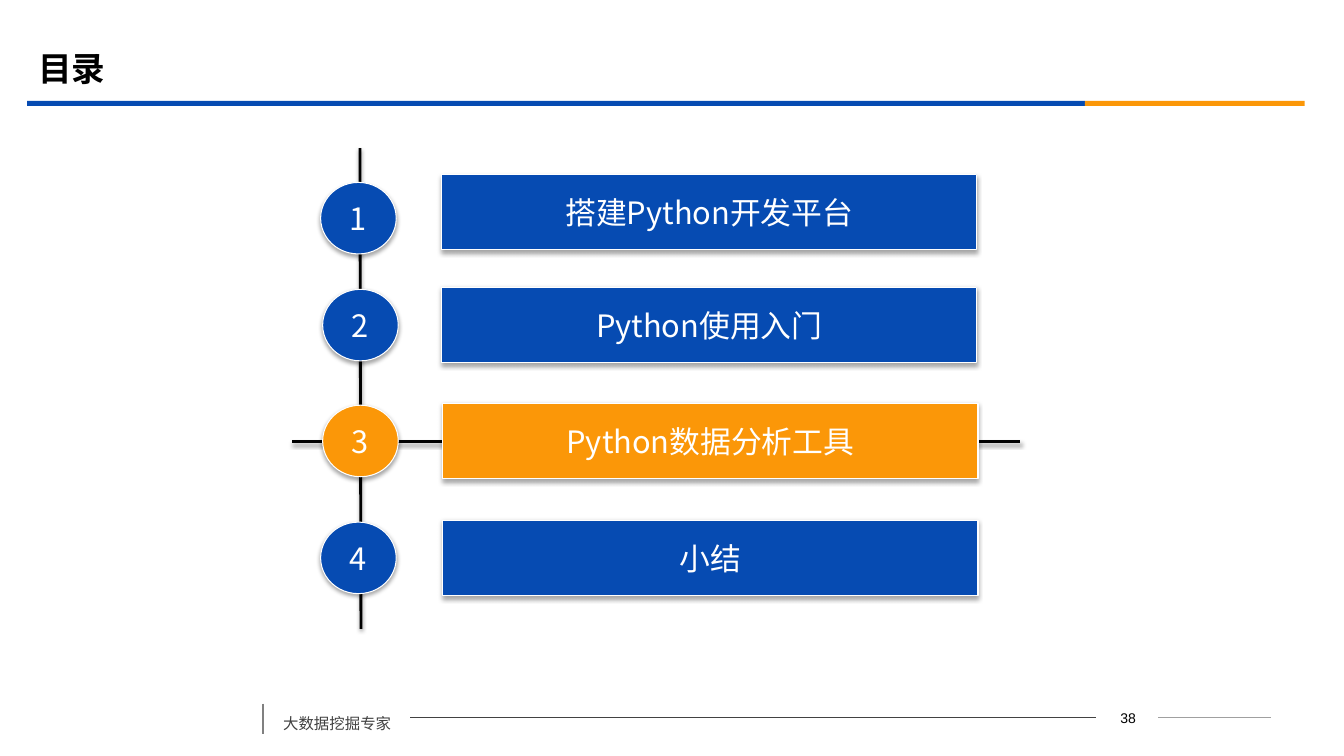
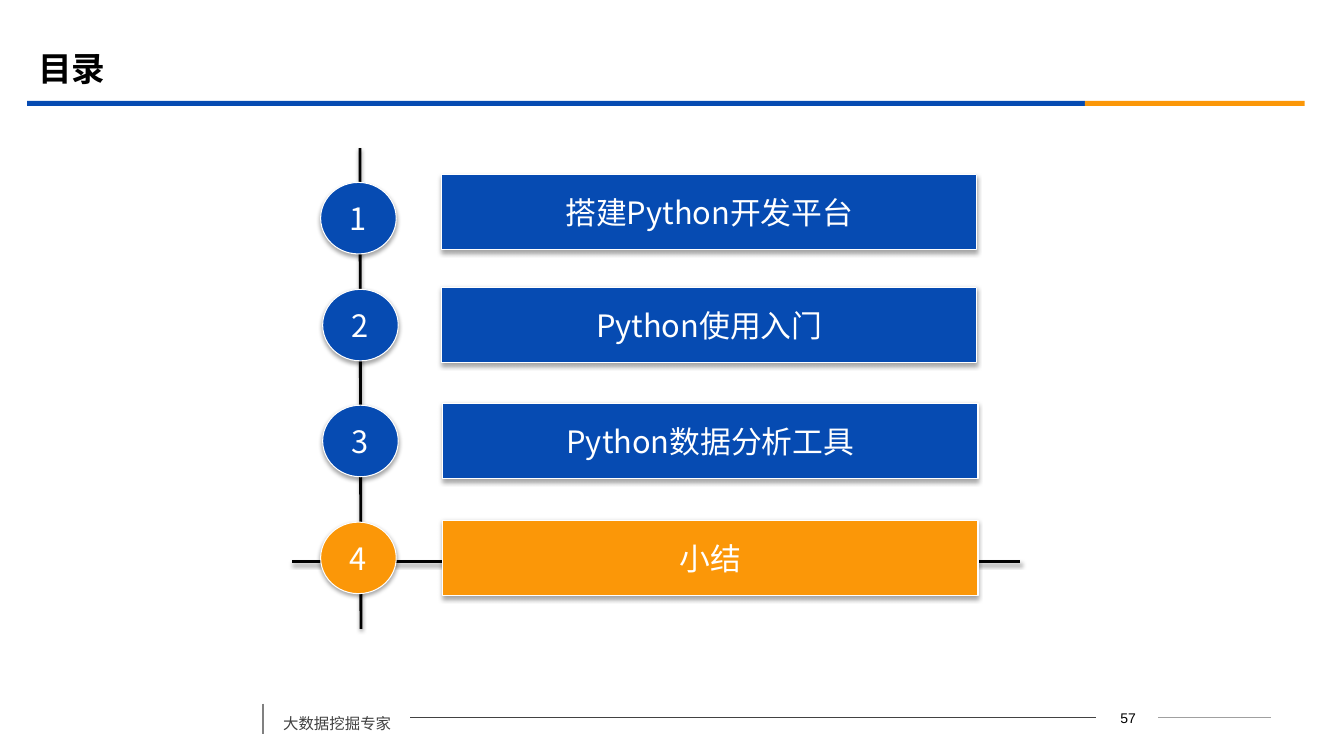
from dataclasses import dataclass

from lxml import etree
from pptx import Presentation
from pptx.dml.color import RGBColor
from pptx.enum.shapes import MSO_CONNECTOR, MSO_SHAPE
from pptx.enum.text import MSO_ANCHOR, PP_ALIGN
from pptx.oxml.ns import qn
from pptx.util import Emu, Pt

# Shared look: 100 px make one inch
EMU_PER_PX = 9144
PAGE_SIZE = (1333, 750)
COLORS = {
    "blue": "064BB2",
    "orange": "FB9708",
    "white": "FFFFFF",
    "black": "000000",
    "footer": "404040",
    "divider": "808080",
    "dark_rule": "424242",
    "light_rule": "A0A0A0",
}
CJK_FONT = "Noto Sans CJK SC"
TITLE_FONT = {"name": CJK_FONT, "size": Pt(24), "bold": True}
ITEM_FONT = {"name": CJK_FONT, "size": Pt(22)}
FOOTER_FONT = {"name": CJK_FONT, "size": Pt(11)}
NUMBER_FONT = {"name": "Arial", "size": Pt(10)}
CENTERED = {"alignment": PP_ALIGN.CENTER}
LEFT = {"alignment": PP_ALIGN.LEFT}
FOOTER_PARAGRAPH = {"line_spacing": 1.5, "space_before": Pt(6)}


@dataclass(frozen=True)
class Box:
    left: int
    top: int
    width: int
    height: int

    def emu(self) -> list:
        return [px(v) for v in (self.left, self.top, self.width, self.height)]


@dataclass(frozen=True)
class Rule:
    start: tuple
    end: tuple
    color: str
    points: float
    shadow: bool = False


@dataclass(frozen=True)
class Chapter:
    label: str
    circle: tuple
    button: tuple
    cross_y: int


@dataclass(frozen=True)
class Agenda:
    current: int
    page_number: str


TITLE_BOX = Box(28, 39, 1200, 58)
FOOTER_BOX = Box(271, 694, 136, 38)
NUMBER_BOX = Box(1088, 699, 62, 25)
BANDS = [(Box(27, 100, 1049, 5), "blue"), (Box(1076, 100, 218, 5), "orange")]
FOOTER_RULES = [
    Rule((1149, 712), (1261, 712), "light_rule", 0.75),
    Rule((407, 712), (1087, 712), "dark_rule", 0.75),
    Rule((261, 698), (261, 728), "divider", 1.25),
]
SPINE = Rule((357, 147), (358, 624), "black", 2, shadow=True)
CROSS_ENDS = (290, 1012)
CIRCLE_SIZE = (75, 71)
BUTTON_SIZE = (531, 75)
CHAPTERS = [
    Chapter("搭建Python开发平台", (318, 181), (438, 173), 211),
    Chapter("Python使用入门", (320, 287), (438, 285), 323),
    Chapter("Python数据分析工具", (320, 402), (439, 400), 438),
    Chapter("小结", (318, 518), (439, 516), 557),
]
AGENDAS = [Agenda(3, "38"), Agenda(4, "57")]


def px(value: int) -> Emu:
    return Emu(value * EMU_PER_PX)


def rgb(color: str) -> RGBColor:
    return RGBColor.from_string(COLORS[color])


def apply(target, values: dict) -> None:
    for name, value in values.items():
        setattr(target, name, value)


def write(frame, text: str, font: dict, color: str, paragraph: dict) -> None:
    para = frame.paragraphs[0]
    apply(para, paragraph)
    span = para.add_run()
    span.text = text
    apply(span.font, font)
    span.font.color.rgb = rgb(color)
    # East Asian letters need their own typeface entry
    properties = span.font._element
    etree.SubElement(properties, qn("a:ea"), typeface=font["name"])


def add_effects(shape, distance: float = 0, opacity: int = 0) -> None:
    """Replace the theme shadow by none, or by a soft one below."""
    effects = etree.SubElement(shape.element.spPr, qn("a:effectLst"))
    if opacity:
        shadow = etree.SubElement(
            effects, qn("a:outerShdw"), blurRad=str(Pt(3.1)),
            dist=str(Pt(distance)), dir="5400000", rotWithShape="0")
        color = etree.SubElement(shadow, qn("a:srgbClr"), val=COLORS["black"])
        etree.SubElement(color, qn("a:alpha"), val=str(opacity * 1000))


def add_rule(page, rule: Rule) -> None:
    ends = [px(v) for v in rule.start + rule.end]
    line = page.shapes.add_connector(MSO_CONNECTOR.STRAIGHT, *ends)
    line.line.color.rgb = rgb(rule.color)
    line.line.width = Pt(rule.points)
    add_effects(line, 1.6, 38 if rule.shadow else 0)


def add_band(page, box: Box, color: str) -> None:
    band = page.shapes.add_shape(MSO_SHAPE.RECTANGLE, *box.emu())
    band.fill.solid()
    band.fill.fore_color.rgb = rgb(color)
    band.line.fill.background()
    add_effects(band)


def add_item(page, kind: MSO_SHAPE, box: Box, text: str, color: str) -> None:
    item = page.shapes.add_shape(kind, *box.emu())
    item.fill.solid()
    item.fill.fore_color.rgb = rgb(color)
    item.line.color.rgb = rgb("white")
    item.line.width = Pt(0.75)
    add_effects(item, 1.8, 35)
    apply(item.text_frame,
          {"word_wrap": False, "vertical_anchor": MSO_ANCHOR.MIDDLE})
    write(item.text_frame, text, ITEM_FONT, "white", CENTERED)


def add_text(page, box: Box, text: str, font: dict, color: str,
             paragraph: dict) -> None:
    frame = page.shapes.add_textbox(*box.emu()).text_frame
    frame.word_wrap = True
    write(frame, text, font, color, paragraph)


def add_frame(page, page_number: str) -> None:
    # Title
    title = page.shapes.title
    names = ("left", "top", "width", "height")
    apply(title, dict(zip(names, TITLE_BOX.emu())))
    title.text_frame.vertical_anchor = MSO_ANCHOR.MIDDLE
    write(title.text_frame, "目录", TITLE_FONT, "black", LEFT)
    # Bands under the title
    for box, color in BANDS:
        add_band(page, box, color)
    # Footer
    for rule in FOOTER_RULES:
        add_rule(page, rule)
    add_text(page, FOOTER_BOX, "大数据挖掘专家", FOOTER_FONT, "footer",
             FOOTER_PARAGRAPH)
    add_text(page, NUMBER_BOX, page_number, NUMBER_FONT, "black", CENTERED)


def add_agenda(deck, agenda: Agenda) -> None:
    page = deck.slides.add_slide(deck.slide_layouts[5])
    add_frame(page, agenda.page_number)
    # Spine and the line through the current chapter
    cross_y = CHAPTERS[agenda.current - 1].cross_y
    start, end = ((x, cross_y) for x in CROSS_ENDS)
    add_rule(page, SPINE)
    add_rule(page, Rule(start, end, "black", 2, shadow=True))
    # Numbered chapters
    for number, chapter in enumerate(CHAPTERS, start=1):
        color = "orange" if number == agenda.current else "blue"
        add_item(page, MSO_SHAPE.ACTION_BUTTON_CUSTOM,
                 Box(*chapter.button, *BUTTON_SIZE), chapter.label, color)
        add_item(page, MSO_SHAPE.OVAL,
                 Box(*chapter.circle, *CIRCLE_SIZE), str(number), color)


def main() -> None:
    deck = Presentation()
    deck.slide_width, deck.slide_height = (px(v) for v in PAGE_SIZE)
    for agenda in AGENDAS:
        add_agenda(deck, agenda)
    deck.save("out.pptx")


if __name__ == "__main__":
    main()
